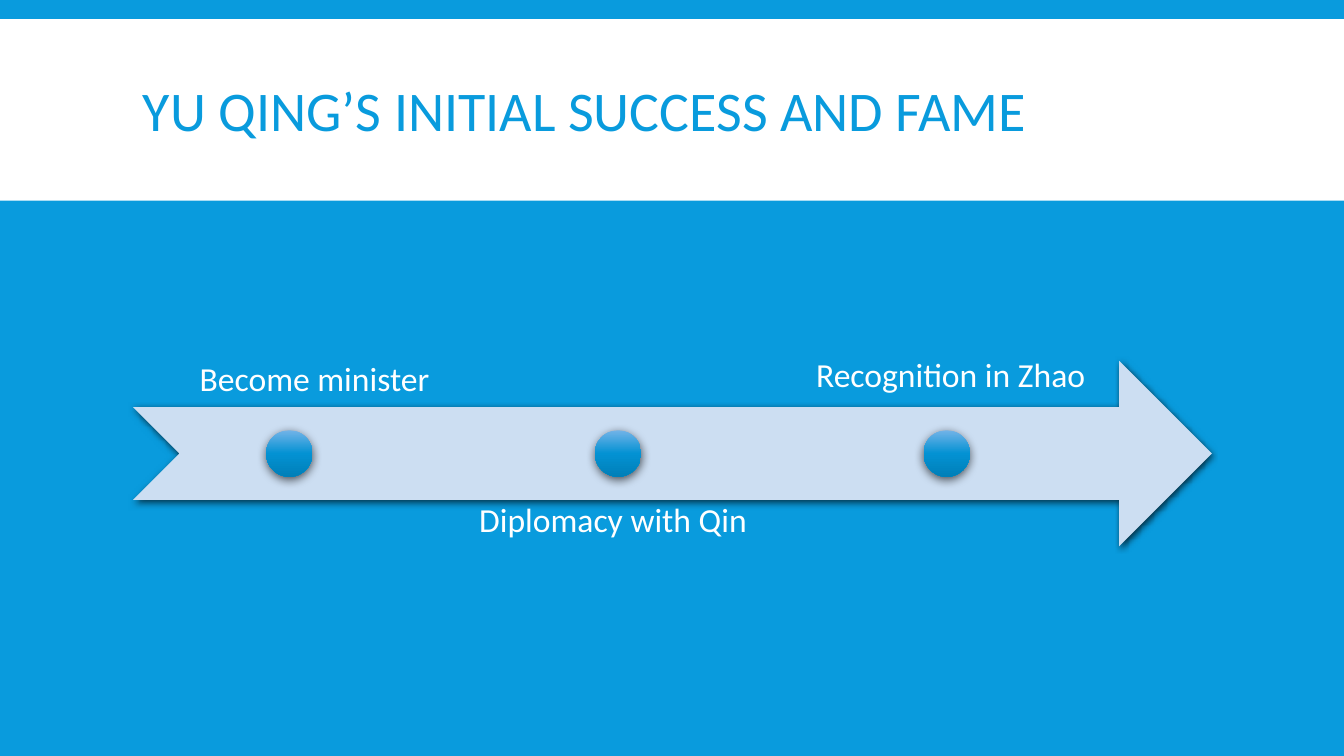
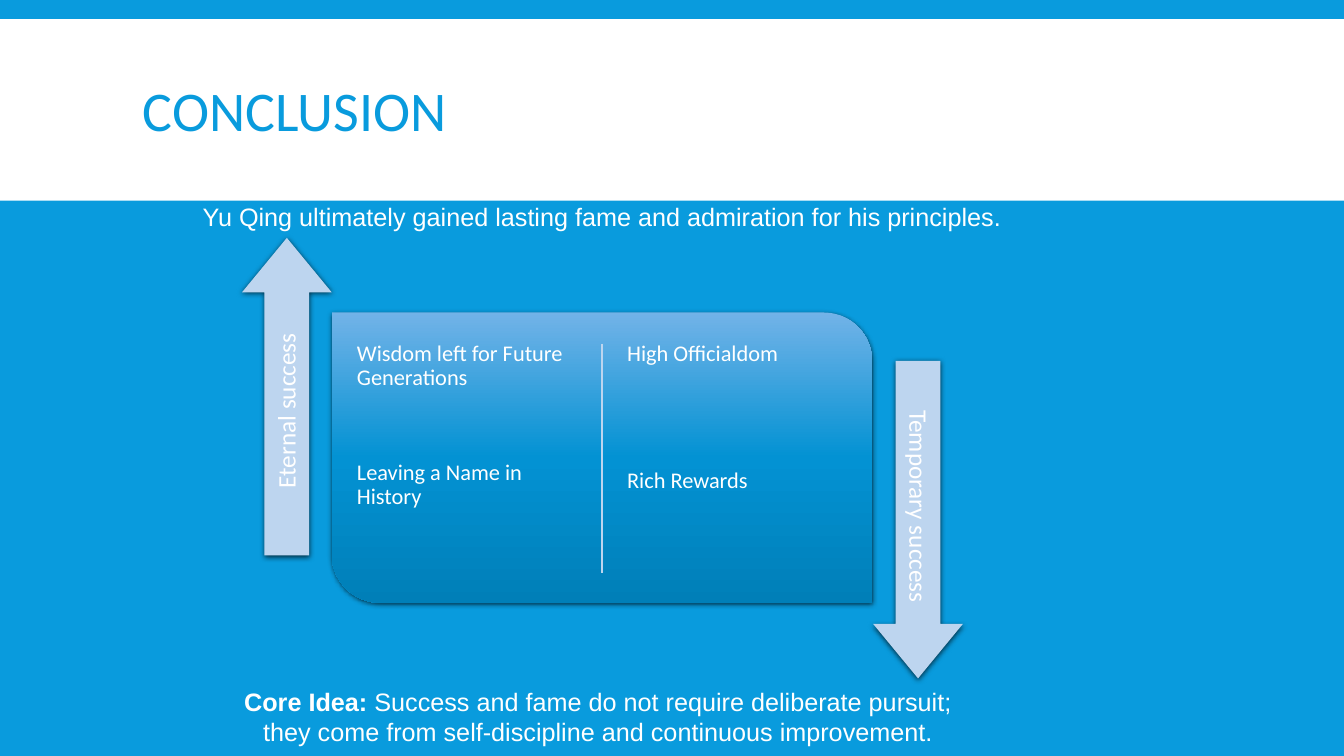
"""Build two slides on the success and fame of Yu Qing."""
from copy import deepcopy

from lxml import etree
from pptx import Presentation
from pptx.dml.color import RGBColor
from pptx.enum.shapes import MSO_CONNECTOR, MSO_SHAPE
from pptx.enum.text import MSO_ANCHOR, PP_ALIGN
from pptx.oxml.ns import qn
from pptx.util import Inches, Pt

BLUE = RGBColor(0x09, 0x9B, 0xDD)
WHITE = RGBColor(0xFF, 0xFF, 0xFF)
PALE_ARROW = RGBColor(0xCC, 0xDE, 0xF2)
SOFT_BLUE = RGBColor(0xBD, 0xD5, 0xEF)
GRADIENT = [
    (0, RGBColor(0x72, 0xB3, 0xE8)),
    (0.5, RGBColor(0x03, 0x92, 0xD3)),
    (1, RGBColor(0x00, 0x7F, 0xB8)),
]

LEFT, CENTER = PP_ALIGN.LEFT, PP_ALIGN.CENTER
TOP, MIDDLE = MSO_ANCHOR.TOP, MSO_ANCHOR.MIDDLE
SOFT_SHADOW = (68, 4, 1.2)
DEEP_SHADOW = (63, 7, 2.2)
SMALL_INSET = 0.07

TIMELINE_TITLE = "YU QING’S INITIAL SUCCESS AND FAME"
MILESTONES = [
    ("Become minister", (1.48, 3.5, 3.28, 0.5)),
    ("Diplomacy with Qin", (4.44, 4.9, 3.28, 0.5)),
    ("Recognition in Zhao", (7.71, 3.46, 3.44, 0.5)),
]
FIRST_DOT, DOT_STEP, DOT_TOP, DOT_SIZE = 2.64, 3.26, 4.27, 0.46

CONCLUSION_TITLE = "CONCLUSION"
STATEMENTS = [
    ([[("Yu Qing ultimately gained lasting fame and admiration for his principles.", False)]],
     (1.83, 1.95, 8.28, 0.4)),
    ([[("Core Idea:", True), (" Success and fame do not require deliberate pursuit;", False)],
      [("they come from self-discipline and continuous improvement.", False)]],
     (1.79, 6.76, 8.28, 0.7)),
]
COLUMNS = [
    (["Wisdom left for Future Generations", "Leaving a Name in History"], 3.47, 51),
    (["High Officialdom", "Rich Rewards"], 6.15, 74),
]
SIDE_ARROWS = [
    ("Eternal success", 270, (1.27, 3.49), (1.41, 3.85)),
    ("Temporary success", 90, (7.53, 4.71), (7.66, 4.8)),
]


def inches(box):
    return [Inches(value) for value in box]


def add_figure(slide, kind, box, color=None, shadow=None, adjustments=(), rotation=0):
    shape = slide.shapes.add_shape(kind, *inches(box))
    shape.line.fill.background()
    shape.rotation = rotation
    for index, value in enumerate(adjustments):
        shape.adjustments[index] = value
    if color is None:
        fill_gradient(shape)
    else:
        shape.fill.solid()
        shape.fill.fore_color.rgb = color
    shape.shadow.inherit = False
    if shadow:
        add_shadow(shape, *shadow)
    return shape


def fill_gradient(shape):
    shape.fill.gradient()
    shape.fill.gradient_angle = 270
    first_stop = shape.element.spPr.find(".//" + qn("a:gs"))
    first_stop.addnext(deepcopy(first_stop))
    for stop, (position, color) in zip(shape.fill.gradient_stops, GRADIENT):
        stop.position = position
        stop.color.rgb = color


def add_shadow(shape, opacity, blur, distance):
    effects = shape.element.spPr.find(qn("a:effectLst"))
    outer = etree.SubElement(
        effects, qn("a:outerShdw"), blurRad=str(Pt(blur)), dist=str(Pt(distance)),
        dir="5400000", algn="ctr", rotWithShape="0")
    color = etree.SubElement(outer, qn("a:srgbClr"), val="000000")
    etree.SubElement(color, qn("a:alpha"), val=str(opacity * 1000))


def add_text(slide, paragraphs, box, size, color=WHITE, font="Calibri", align=CENTER,
             anchor=TOP, spacing=1.0, gap=0, inset=None, rotation=0):
    shape = slide.shapes.add_textbox(*inches(box))
    shape.rotation = rotation
    frame = shape.text_frame
    frame.word_wrap = True
    frame.vertical_anchor = anchor
    if inset is not None:
        frame.margin_left = frame.margin_right = Inches(inset)
        frame.margin_top = frame.margin_bottom = Inches(inset)
    for index, runs in enumerate(paragraphs):
        paragraph = frame.add_paragraph() if index else frame.paragraphs[0]
        paragraph.alignment = align
        paragraph.line_spacing = spacing
        paragraph.space_before = Pt(gap if index else 0)
        paragraph.font.name = font
        paragraph.font.size = Pt(size)
        paragraph.font.color.rgb = color
        for text, bold in runs:
            run = paragraph.add_run()
            run.text = text
            if bold:
                run.font.bold = True


def add_titled_slide(presentation, title):
    slide = presentation.slides.add_slide(presentation.slide_layouts[6])
    slide.background.fill.solid()
    slide.background.fill.fore_color.rgb = BLUE
    add_figure(slide, MSO_SHAPE.RECTANGLE, (0, 0.19, 13.33, 1.8), WHITE)
    add_text(slide, [[(title, False)]], (1.32, 0.31, 10.7, 1.65), 40, BLUE,
             align=LEFT, anchor=MIDDLE, spacing=0.85)
    return slide


def build_timeline(presentation):
    slide = add_titled_slide(presentation, TIMELINE_TITLE)
    add_figure(slide, MSO_SHAPE.NOTCHED_RIGHT_ARROW, (1.32, 3.58, 10.7, 1.84),
               PALE_ARROW, SOFT_SHADOW)
    for index, (label, box) in enumerate(MILESTONES):
        dot_left = FIRST_DOT + index * DOT_STEP
        add_figure(slide, MSO_SHAPE.OVAL, (dot_left, DOT_TOP, DOT_SIZE, DOT_SIZE),
                   shadow=DEEP_SHADOW)
        add_text(slide, [[(label, False)]], box, 24)


def build_conclusion(presentation):
    slide = add_titled_slide(presentation, CONCLUSION_TITLE)
    for paragraphs, box in STATEMENTS:
        add_text(slide, paragraphs, box, 18, font="Arial", anchor=MIDDLE)
    add_figure(slide, MSO_SHAPE.ROUND_2_DIAG_RECTANGLE, (3.29, 3.1, 5.36, 2.88),
               shadow=SOFT_SHADOW, adjustments=(0, 0.167))
    divider = slide.shapes.add_connector(
        MSO_CONNECTOR.STRAIGHT, *inches((5.97, 3.41, 5.97, 5.68)))
    divider.line.color.rgb = SOFT_BLUE
    divider.line.width = Pt(1)
    etree.SubElement(divider.element.spPr, qn("a:effectLst"))
    for items, left, gap in COLUMNS:
        add_text(slide, [[(item, False)] for item in items], (left, 3.32, 2.32, 2.45), 16,
                 align=LEFT, spacing=0.9, gap=gap, inset=SMALL_INSET)
    for label, rotation, arrow_corner, label_corner in SIDE_ARROWS:
        add_figure(slide, MSO_SHAPE.RIGHT_ARROW, (*arrow_corner, 3.15, 0.89), SOFT_BLUE,
                   SOFT_SHADOW, (0.498, 0.607), rotation)
        add_text(slide, [[(label, False)]], (*label_corner, 2.88, 0.45), 18, anchor=MIDDLE,
                 spacing=0.9, inset=SMALL_INSET, rotation=rotation)


def main():
    presentation = Presentation()
    presentation.slide_width = Inches(13.33)
    presentation.slide_height = Inches(7.5)
    build_timeline(presentation)
    build_conclusion(presentation)
    presentation.save("out.pptx")


if __name__ == "__main__":
    main()
